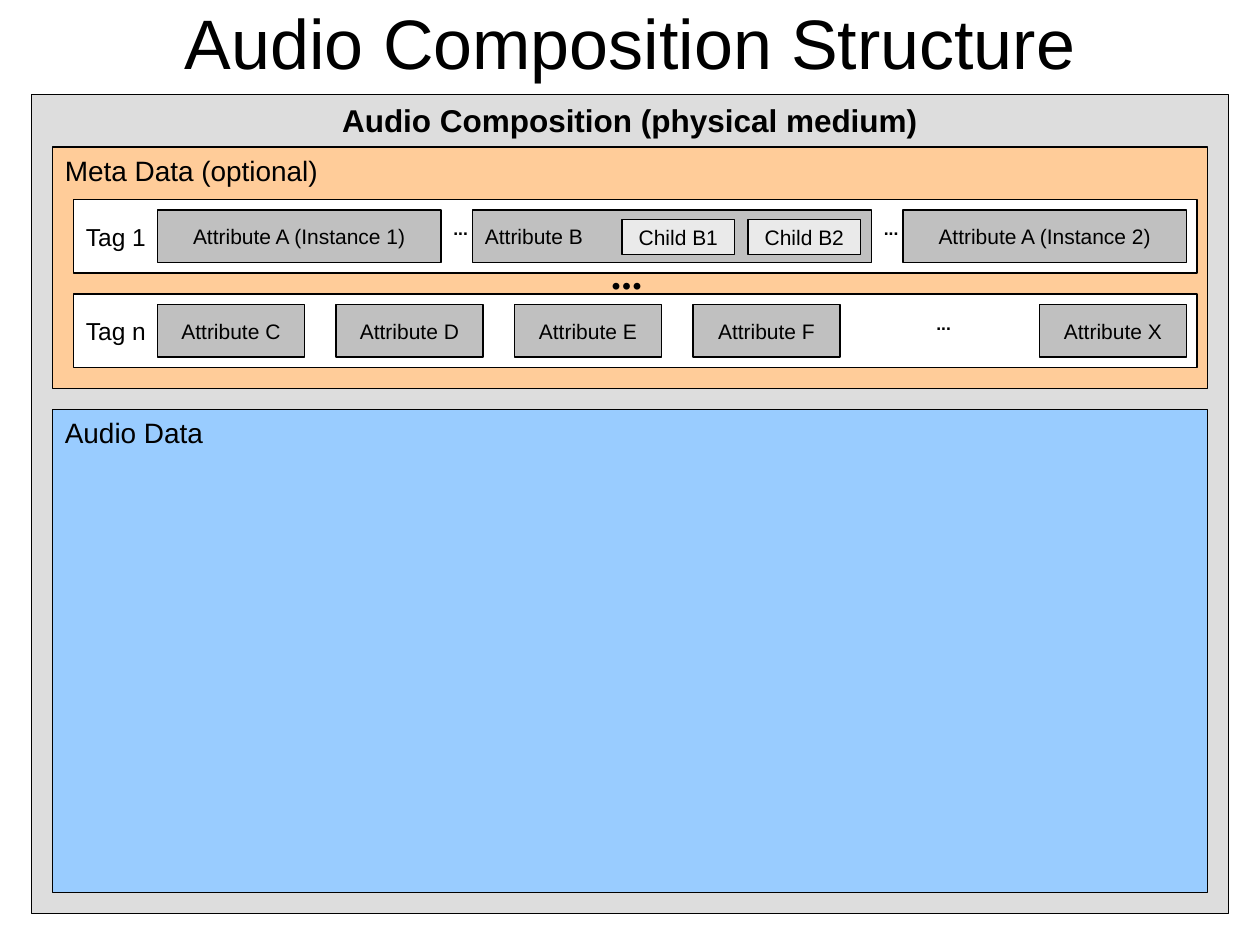
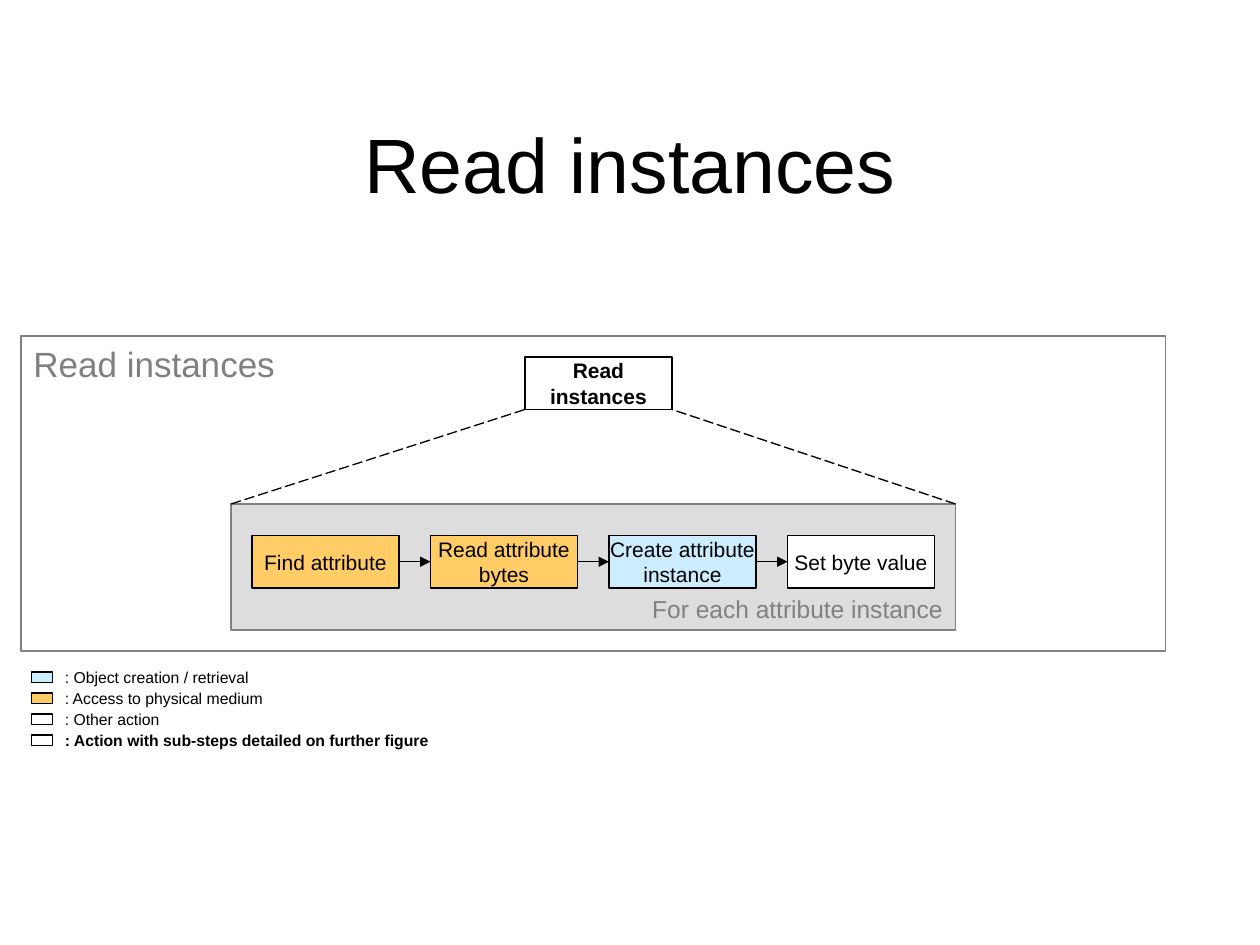
import dataclasses

import lxml.etree
import pptx
import pptx.dml.color
import pptx.enum.dml
import pptx.enum.shapes
import pptx.enum.text
import pptx.oxml.ns
import pptx.util

Pt = pptx.util.Pt
qn = pptx.oxml.ns.qn
ALIGN = pptx.enum.text.PP_ALIGN
ANCHOR = pptx.enum.text.MSO_ANCHOR
AUTO = pptx.enum.text.MSO_AUTO_SIZE

HUES = {
    "black": "000000",
    "white": "FFFFFF",
    "grey": "808080",
    "frame": "DDDDDD",
    "meta": "FFCC99",
    "audio": "99CCFF",
    "field": "C0C0C0",
    "child": "EAEAEA",
    "access": "FFCC66",
    "object": "CCECFF",
}
STEP = 102  # distance between neighbouring boxes in a row
WIDE, HIGH = 84, 30


@dataclasses.dataclass
class Box:
    """Rectangle with text; without fill and line it is a text box."""
    left: float
    top: float
    width: float
    height: float
    text: str = ""
    fill: str | None = None
    line: str | None = "black"
    size: float = 12
    ink: str = "black"
    bold: bool = False
    font: str = "Arial"
    align: ALIGN = ALIGN.CENTER
    anchor: ANCHOR = ANCHOR.MIDDLE
    wrap: bool = False
    grow: bool = False
    space: float | None = None


@dataclasses.dataclass
class Link:
    start: tuple[float, float]
    end: tuple[float, float]
    arrow: bool = False


def tint(name: str) -> pptx.dml.color.RGBColor:
    return pptx.dml.color.RGBColor.from_string(HUES[name])


def apply(target: object, values: dict) -> None:
    for key, value in values.items():
        setattr(target, key, value)


def draw_box(slide, box: Box) -> None:
    place = [Pt(n) for n in (box.left, box.top, box.width, box.height)]
    if box.fill or box.line:
        shape = slide.shapes.add_shape(
            pptx.enum.shapes.MSO_SHAPE.RECTANGLE, *place)
        shape.shadow.inherit = False
        if box.fill:
            shape.fill.solid()
            shape.fill.fore_color.rgb = tint(box.fill)
        else:
            shape.fill.background()
        shape.line.color.rgb = tint(box.line)
        shape.line.width = Pt(0.75)
    else:
        shape = slide.shapes.add_textbox(*place)
    if not box.text:
        return
    frame = shape.text_frame
    frame.text = box.text
    apply(frame, {
        "word_wrap": box.wrap,
        "vertical_anchor": box.anchor,
        "auto_size": AUTO.SHAPE_TO_FIT_TEXT if box.grow else AUTO.NONE,
        "margin_left": Pt(7.2),
        "margin_right": Pt(7.2),
        "margin_top": Pt(3.6),
        "margin_bottom": Pt(3.6),
    })
    for para in frame.paragraphs:
        apply(para, {"alignment": box.align, "line_spacing": box.space})
        for run in para.runs:
            apply(run.font, {"name": box.font, "size": Pt(box.size),
                             "bold": box.bold})
            run.font.color.rgb = tint(box.ink)


def draw_link(slide, link: Link) -> None:
    """Draw a solid arrow or a dashed plain line."""
    wire = slide.shapes.add_connector(
        pptx.enum.shapes.MSO_CONNECTOR.STRAIGHT,
        *(Pt(n) for n in link.start + link.end))
    wire.line.color.rgb = tint("black")
    wire.line.width = Pt(0.75)
    props = wire.element.spPr
    if link.arrow:
        lxml.etree.SubElement(props.find(qn("a:ln")), qn("a:tailEnd"),
                              type="triangle")
    else:
        wire.line.dash_style = pptx.enum.dml.MSO_LINE.LONG_DASH
    lxml.etree.SubElement(props, qn("a:effectLst"))


def draw(slide, items: list[Box | Link]) -> None:
    for item in items:
        if isinstance(item, Box):
            draw_box(slide, item)
        else:
            draw_link(slide, item)


def title(text: str, top: float, height: float, size: float) -> Box:
    return Box(54, top, 612, height, text, line=None, size=size, wrap=True)


def panel(top: float, height: float, text: str, fill: str) -> Box:
    return Box(30, top, 660, height, text, fill, size=16,
               align=ALIGN.LEFT, anchor=ANCHOR.TOP)


def tag(top: float, text: str) -> Box:
    return Box(42, top, 642, 42, text, "white", size=14, align=ALIGN.LEFT)


def field(left: float, top: float, name: str, width: float = WIDE,
          align: ALIGN = ALIGN.CENTER) -> Box:
    return Box(left, top, width, HIGH, f"Attribute {name}", "field",
               align=align)


def dots(left: float, top: float) -> Box:
    return Box(left, top, 22.5, 13.5, "...", line=None, size=10, bold=True,
               align=ALIGN.LEFT, anchor=ANCHOR.TOP, grow=True, space=0.55)


def build_tree(slide) -> None:
    draw(slide, [
        Box(18, 54, 684, 468, "Audio Composition (physical medium)", "frame",
            size=18, bold=True, anchor=ANCHOR.TOP),
        panel(84, 138, "Meta Data (optional)", "meta"),
        panel(234, 276, "Audio Data", "audio"),
        tag(114, "Tag 1"),
        tag(168, "Tag n"),
        Box(342, 138, 32.4, 36, "...", line=None, size=24, bold=True,
            font="Times New Roman", align=ALIGN.LEFT, anchor=ANCHOR.TOP,
            grow=True),
        field(90, 120, "A (Instance 1)", 162),
        field(270, 120, "B", 228, ALIGN.LEFT),
        field(516, 120, "A (Instance 2)", 162),
        *(Box(355.5 + 72 * i, 125.25, 64.25, 20.25, f"Child B{i + 1}", "child")
          for i in range(2)),
        *(field(90 + STEP * i, 174, name) for i, name in enumerate("CDEF")),
        field(594, 174, "X"),
        dots(252, 126),
        dots(498, 126),
        dots(528, 180),
        title("Audio Composition Structure", 6, 36, 40),
    ])


def build_flow(slide) -> None:
    steps = [
        ("Find attribute", "access"),
        ("Read attribute\nbytes", "access"),
        ("Create attribute\ninstance", "object"),
        ("Set byte value", "white"),
    ]
    keys = [
        ("Object creation / retrieval", "object", 78),
        ("Access to physical medium", "access", 150),
        ("Other action", "white", 138),
        ("Action with sub-steps detailed on further figure", "white", 210),
    ]
    left, top = 144, 306
    draw(slide, [
        title("Read instances", 48, 90, 44),
        Box(132, 288, 414, 72, "For each attribute instance", "frame", "grey",
            14, "grey", align=ALIGN.RIGHT, anchor=ANCHOR.BOTTOM),
        *(Box(left + STEP * i, top, WIDE, HIGH, text, fill)
          for i, (text, fill) in enumerate(steps)),
        *(Link((left + STEP * i + WIDE, top + HIGH / 2),
               (left + STEP * (i + 1), top + HIGH / 2), arrow=True)
          for i in range(len(steps) - 1)),
        Box(300, 204, WIDE, HIGH, "Read\ninstances", "white", bold=True),
        Link((132, 288), (300, 234)),
        Link((546, 288), (384, 234)),
        Box(12, 192, 654, 180, "Read instances", None, "grey", 20, "grey",
            align=ALIGN.LEFT, anchor=ANCHOR.TOP),
    ])
    for i, (text, fill, width) in enumerate(keys):
        draw(slide, [
            Box(18, 384 + 12 * i, 12, 6, fill=fill),
            Box(30, 378 + 12 * i, width, 18, f": {text}", line=None, size=9,
                bold=i == len(keys) - 1, align=ALIGN.LEFT),
        ])


def main() -> None:
    deck = pptx.Presentation()
    apply(deck, {"slide_width": Pt(720), "slide_height": Pt(540)})
    for build in (build_tree, build_flow):
        build(deck.slides.add_slide(deck.slide_layouts[6]))
    deck.save("out.pptx")


if __name__ == "__main__":
    main()
